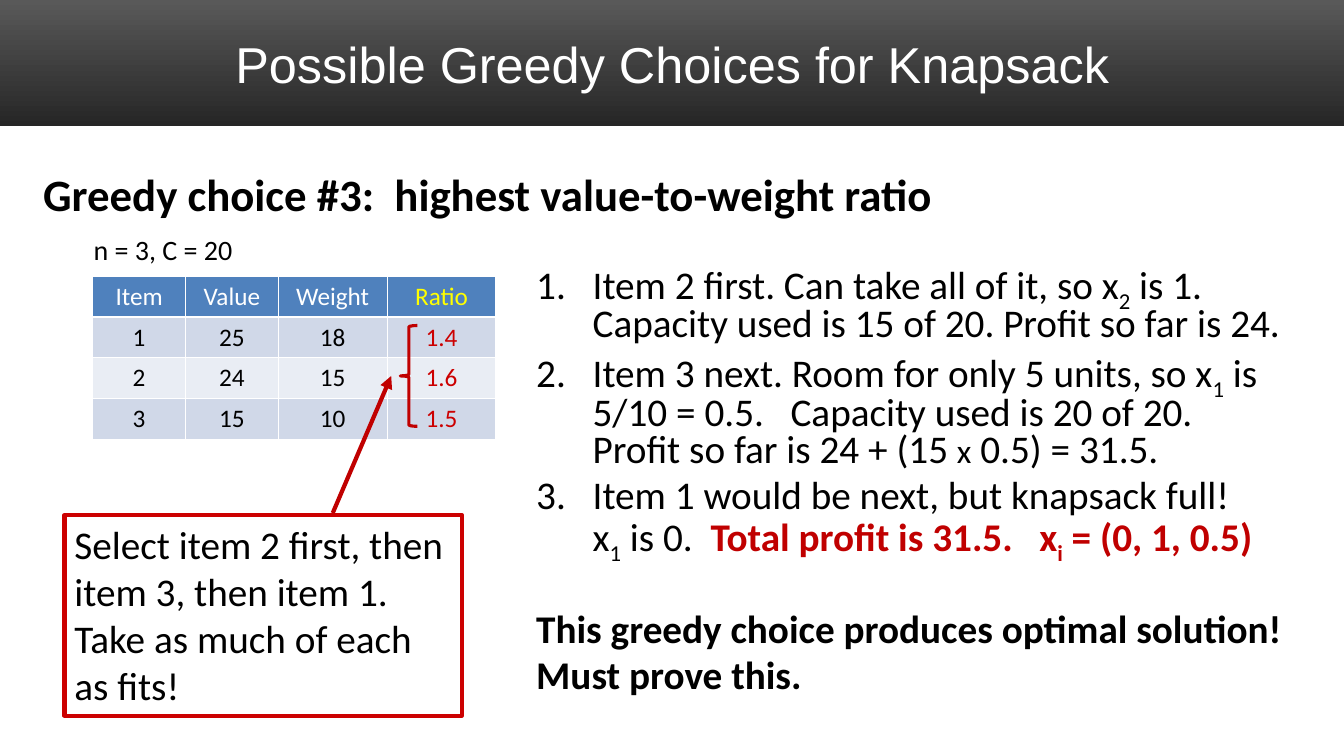
from lxml.etree import SubElement
from pptx import Presentation
from pptx.dml.color import RGBColor
from pptx.enum.shapes import MSO_CONNECTOR as Connector, MSO_SHAPE as Shape
from pptx.enum.text import MSO_ANCHOR as Anchor, PP_ALIGN as Align
from pptx.oxml.ns import qn
from pptx.util import Inches, Pt

COLORS = {
    "white": "FFFFFF", "black": "000000", "bar top": "595959", "bar bottom": "262626",
    "header": "4F81BD", "odd row": "D0D8E8", "even row": "E9EDF4",
    "yellow": "FFFF00", "red": "CC0000", "dark red": "C00000",
}
TITLE = "Possible Greedy Choices for Knapsack"
HEADING = "Greedy choice #3:  highest value-to-weight ratio"
SETUP = "n = 3, C = 20"
ADVICE = "Select item 2 first, then item 3, then item 1.\vTake as much of each as fits!"
ITEMS = [
    ("Item", "Value", "Weight", "Ratio"),
    ("1", "25", "18", "1.4"),
    ("2", "24", "15", "1.6"),
    ("3", "15", "10", "1.5"),
]
COLUMN_WIDTHS = (0.92, 0.92, 1.08, 1.08)
ROW_HEIGHT = 0.405
STEPS = [
    [("Item 2 first. Can take all of it, so x", ""), ("2", "sub"),
     (" is 1.\nCapacity used is 15 of 20. Profit so far is 24.", "")],
    [("Item 3 next. Room for only 5 units, so x", ""), ("1", "sub"),
     (" is 5/10 = 0.5.   Capacity used is 20 of 20.\nProfit so far is 24 + (15 ", ""),
     ("x", "small"), (" 0.5) = 31.5.", "")],
    [("Item 1 would be next, but knapsack full!\nx", ""), ("1", "sub"), (" is 0.  ", ""),
     ("Total profit is 31.5.   x", "result"), ("i", "result sub"),
     (" = (0, 1, 0.5)", "result")],
]
CONCLUSION = ["This greedy choice produces optimal solution!", "Must prove this."]


def color(name):
    return RGBColor.from_string(COLORS[name])


def set_font(font, size, name="Calibri", shade="black", bold=False):
    font.size, font.name, font.bold = Pt(size), name, bold
    font.color.rgb = color(shade)


def add_text(page, place, text, size, wrap=True, **style):
    box = page.shapes.add_textbox(*map(Inches, place))
    box.text_frame.word_wrap = wrap
    para = box.text_frame.paragraphs[0]
    para.text = text
    set_font(para.font, size, **style)
    return box


def add_outline(page, kind, place, shade, width):
    shape = page.shapes.add_shape(kind, *map(Inches, place))
    shape.shadow.inherit = False
    shape.fill.background()
    shape.line.color.rgb = color(shade)
    shape.line.width = Pt(width)
    return shape


def add_title(page):
    bar = page.shapes.add_shape(Shape.RECTANGLE, 0, 0, Inches(13.33), Inches(1.25))
    bar.shadow.inherit = False
    bar.line.fill.background()
    bar.fill.gradient()
    bar.fill.gradient_angle = 270
    for stop, name, position in zip(bar.fill.gradient_stops, ("bar top", "bar bottom"), (0, 1)):
        stop.color.rgb = color(name)
        stop.position = position
    box = add_text(page, (0.67, 0.17, 12, 0.92), TITLE, 36, name="Arial", shade="white")
    box.text_frame.vertical_anchor = Anchor.MIDDLE
    box.text_frame.paragraphs[0].alignment = Align.CENTER


def add_borders(cell):
    properties = cell._tc.get_or_add_tcPr()
    for index, side in enumerate(("lnL", "lnR", "lnT", "lnB")):
        border = properties.makeelement(qn(f"a:{side}"), {"w": str(Pt(1))})
        fill = SubElement(border, qn("a:solidFill"))
        SubElement(fill, qn("a:srgbClr"), val=COLORS["white"])
        properties.insert(index, border)


def add_items(page):
    place = (0.92, 2.74, sum(COLUMN_WIDTHS), ROW_HEIGHT * len(ITEMS))
    table = page.shapes.add_table(len(ITEMS), len(COLUMN_WIDTHS), *map(Inches, place)).table
    for column, width in zip(table.columns, COLUMN_WIDTHS):
        column.width = Inches(width)
    for row, values in enumerate(ITEMS):
        table.rows[row].height = Inches(ROW_HEIGHT)
        fill = "header" if row == 0 else ("even row", "odd row")[row % 2]
        plain, ratio = ("white", "yellow") if row == 0 else ("black", "red")
        for column, value in enumerate(values):
            cell = table.cell(row, column)
            cell.fill.solid()
            cell.fill.fore_color.rgb = color(fill)
            add_borders(cell)
            para = cell.text_frame.paragraphs[0]
            para.text = value
            para.alignment = Align.CENTER
            set_font(para.font, 18, shade=ratio if column == 3 else plain)


def add_arrow(page):
    ends = map(Inches, (3.3, 5.09, 3.88, 3.73))
    arrow = page.shapes.add_connector(Connector.STRAIGHT, *ends)
    arrow.line.color.rgb = color("dark red")
    arrow.line.width = Pt(3)
    SubElement(arrow.line._get_or_add_ln(), qn("a:tailEnd"), type="triangle")
    SubElement(arrow._element.spPr, qn("a:effectLst"))


def add_spans(para, spans):
    for text, style in spans:
        for index, line in enumerate(text.split("\n")):
            if index:
                para.add_line_break()
            span = para.add_run()
            span.text = line
            result = "result" in style
            set_font(span.font, 24 if style == "small" else 28,
                     shade="dark red" if result else "black", bold=result)
            if "sub" in style:
                span.font._element.set("baseline", "-25000")


def add_steps(page):
    box = page.shapes.add_textbox(*map(Inches, (5.22, 2.58, 7.78, 4.45)))
    frame = box.text_frame
    frame.word_wrap = True
    for index in range(len(STEPS) + len(CONCLUSION)):
        para = frame.add_paragraph() if index else frame.paragraphs[0]
        para.line_spacing = 0.8
        if index:
            para.space_before = Pt(38.5 if index == len(STEPS) else 5.6)
        if index < len(STEPS):
            properties = para._p.get_or_add_pPr()
            properties.set("marL", str(Inches(0.56)))
            properties.set("indent", str(-Inches(0.56)))
            SubElement(properties, qn("a:buFont"), typeface="+mj-lt")
            SubElement(properties, qn("a:buAutoNum"), type="arabicPeriod")
            add_spans(para, STEPS[index])
        else:
            para.text = CONCLUSION[index - len(STEPS)]
            set_font(para.font, 28, bold=True)


def main():
    deck = Presentation()
    deck.slide_width, deck.slide_height = Inches(13.33), Inches(7.5)
    page = deck.slides.add_slide(deck.slide_layouts[6])
    add_title(page)
    add_items(page)
    heading = add_text(page, (0.33, 1.67, 10.83, 0.6), HEADING, 32, bold=True)
    heading.text_frame.paragraphs[0].line_spacing = 0.9
    add_text(page, (0.83, 2.26, 1.59, 0.44), SETUP, 20, wrap=False)
    advice = add_outline(page, Shape.RECTANGLE, (0.64, 5.11, 3.94, 1.99), "red", 3)
    advice.text_frame.word_wrap = True
    advice.text_frame.vertical_anchor = Anchor.TOP
    para = advice.text_frame.paragraphs[0]
    para.text = ADVICE
    para.alignment = Align.LEFT
    set_font(para.font, 28)
    add_arrow(page)
    add_outline(page, Shape.LEFT_BRACE, (3.97, 3.23, 0.17, 1), "dark red", 2.25)
    add_steps(page)
    deck.save("out.pptx")


if __name__ == "__main__":
    main()
